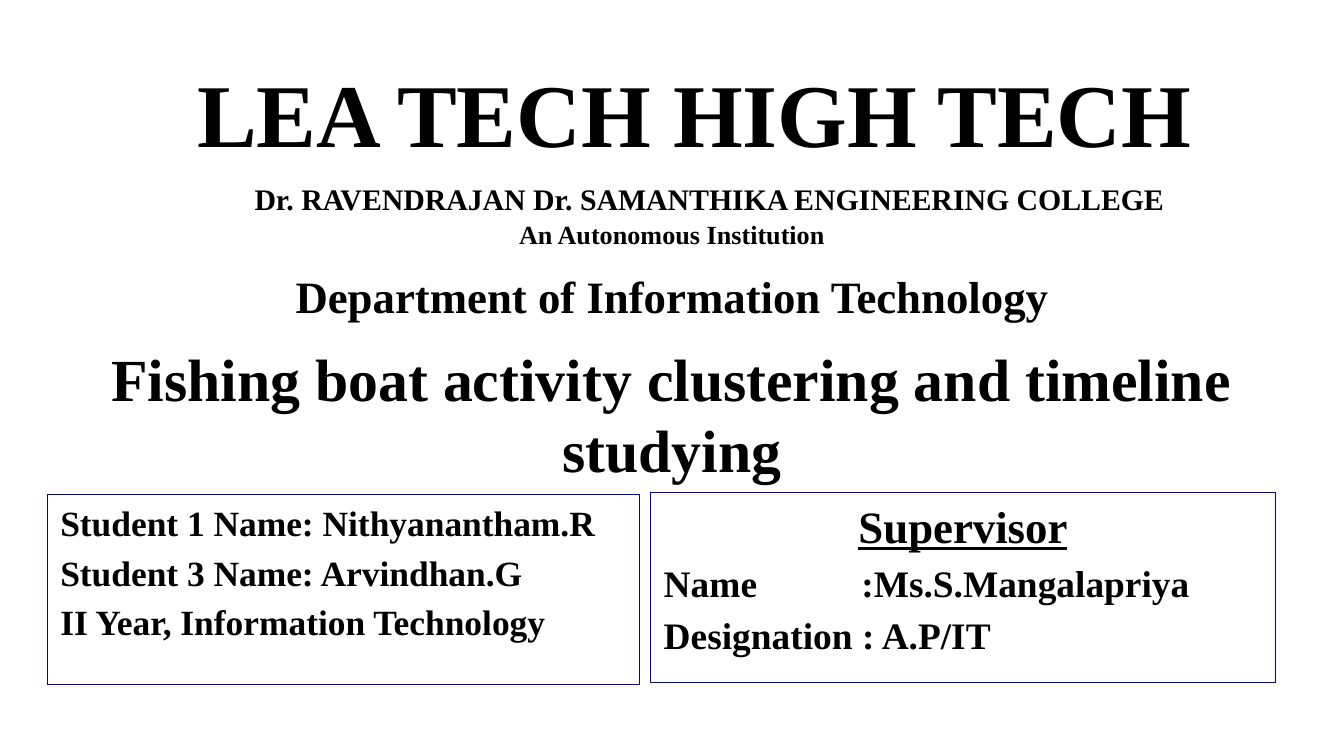
"""Build a project title slide with student and supervisor panels."""
from dataclasses import dataclass

from pptx import Presentation
from pptx.dml.color import RGBColor
from pptx.enum.dml import MSO_LINE
from pptx.enum.shapes import MSO_SHAPE
from pptx.enum.text import MSO_ANCHOR, MSO_AUTO_SIZE, PP_ALIGN
from pptx.util import Inches, Pt

BLACK = RGBColor(0x00, 0x00, 0x00)
BLUE = RGBColor(0x00, 0x00, 0xCC)
FONT = "Times New Roman"
LEFT, CENTER = PP_ALIGN.LEFT, PP_ALIGN.CENTER
TOP = MSO_ANCHOR.TOP
NO_FIT = MSO_AUTO_SIZE.NONE
RECT = MSO_SHAPE.RECTANGLE
DOTTED = MSO_LINE.ROUND_DOT


@dataclass(frozen=True)
class Line:
    text: str
    size: float
    align: PP_ALIGN = LEFT
    before: float = 0
    indent: float = 0
    tab: float = 1
    underline: bool = False


@dataclass(frozen=True)
class Box:
    left: float
    top: float
    width: float
    height: float


@dataclass(frozen=True)
class Panel:
    box: Box
    lines: tuple[Line, ...]


HEADING = (
    Line("LEA TECH HIGH TECH", 48, CENTER, indent=0.34),
    Line("Dr. RAVENDRAJAN Dr. SAMANTHIKA ENGINEERING COLLEGE", 16, CENTER,
         before=8, indent=0.56),
    Line("An Autonomous Institution", 14, CENTER, before=1),
)
DEPARTMENT = (Line("Department of Information Technology", 24, CENTER),)
PROJECT = (Line("Fishing boat activity clustering and timeline studying", 32, CENTER),)
PANELS = (
    Panel(Box(0.35, 3.68, 4.41, 1.41), (
        Line("Student 1 Name: Nithyanantham.R", 19),
        Line("Student 3 Name: Arvindhan.G", 19, before=3.8),
        Line("II Year, Information Technology", 19, before=3.8),
    )),
    Panel(Box(4.84, 3.66, 4.65, 1.42), (
        Line("Supervisor", 24, CENTER, underline=True),
        Line("Name\t:Ms.S.Mangalapriya", 20, before=4, tab=1.47),
        Line("Designation : A.P/IT", 20, before=4),
    )),
)


def place(sp, box: Box) -> None:
    """Move and size a shape."""
    sp.left, sp.top = Inches(box.left), Inches(box.top)
    sp.width, sp.height = Inches(box.width), Inches(box.height)


def write(sp, lines: tuple[Line, ...]) -> None:
    """Fill a shape with formatted paragraphs."""
    tf = sp.text_frame
    tf.word_wrap = True
    tf.auto_size = NO_FIT
    tf.vertical_anchor = TOP
    tf.margin_left = tf.margin_right = Inches(0.1)
    tf.margin_top = tf.margin_bottom = Inches(0.05)
    tf.text = "\n".join(line.text for line in lines)
    for p, line in zip(tf.paragraphs, lines):
        p.alignment = line.align
        p.space_before = Pt(line.before)
        p.line_spacing = 1.0
        pPr = p._p.get_or_add_pPr()
        pPr.set("marL", str(Inches(line.indent)))
        pPr.set("indent", "0")
        pPr.set("defTabSz", str(Inches(line.tab)))
        p.font.name = FONT
        p.font.size = Pt(line.size)
        p.font.bold = True
        p.font.underline = line.underline
        p.font.color.rgb = BLACK


def add_panel(s, panel: Panel) -> None:
    """Draw an outlined text panel."""
    sp = s.shapes.add_shape(RECT, 0, 0, 0, 0)
    place(sp, panel.box)
    sp.shadow.inherit = False
    sp.fill.background()
    sp.line.color.rgb = BLUE
    sp.line.width = Pt(0.25)
    sp.line.dash_style = DOTTED
    write(sp, panel.lines)


def main() -> None:
    """Assemble and save the slide."""
    prs = Presentation()
    prs.slide_width = Inches(10)
    prs.slide_height = prs.slide_width * 9 // 16
    s = prs.slides.add_slide(prs.slide_layouts[0])
    title, subtitle = s.placeholders
    place(title, Box(0.06, 0.38, 9.88, 0.72))
    write(title, HEADING)
    place(subtitle, Box(0.06, 2.49, 9.88, 0.94))
    write(subtitle, PROJECT)
    department = s.shapes.add_textbox(0, 0, 0, 0)
    place(department, Box(0, 1.95, 10, 0.55))
    write(department, DEPARTMENT)
    for panel in PANELS:
        add_panel(s, panel)
    prs.save("out.pptx")


if __name__ == "__main__":
    main()
